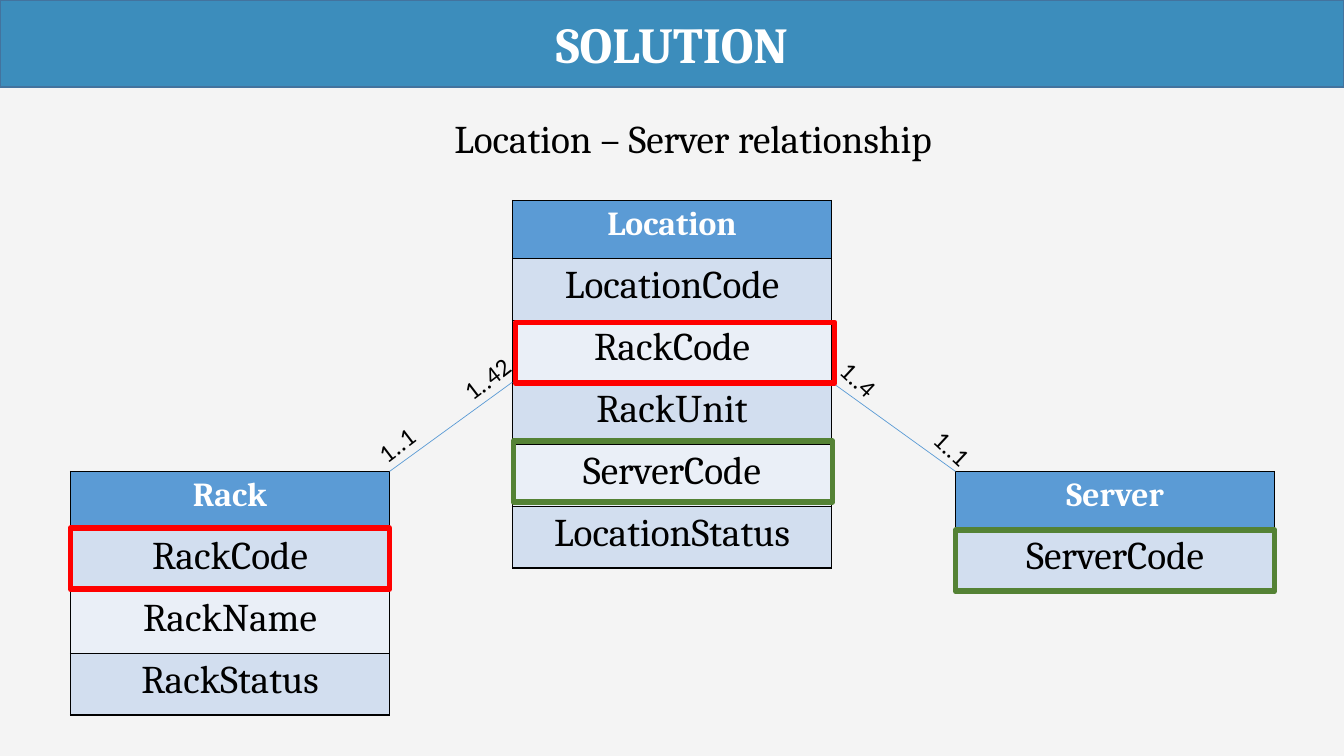
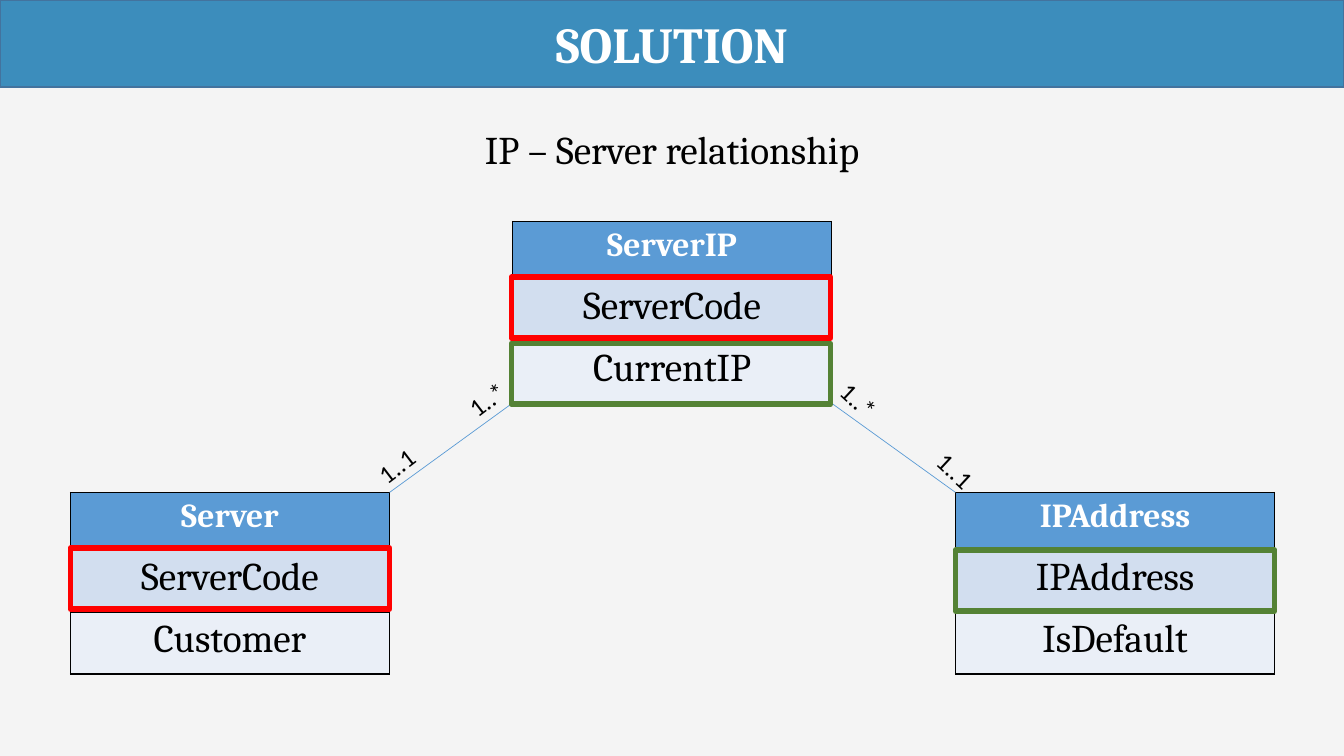
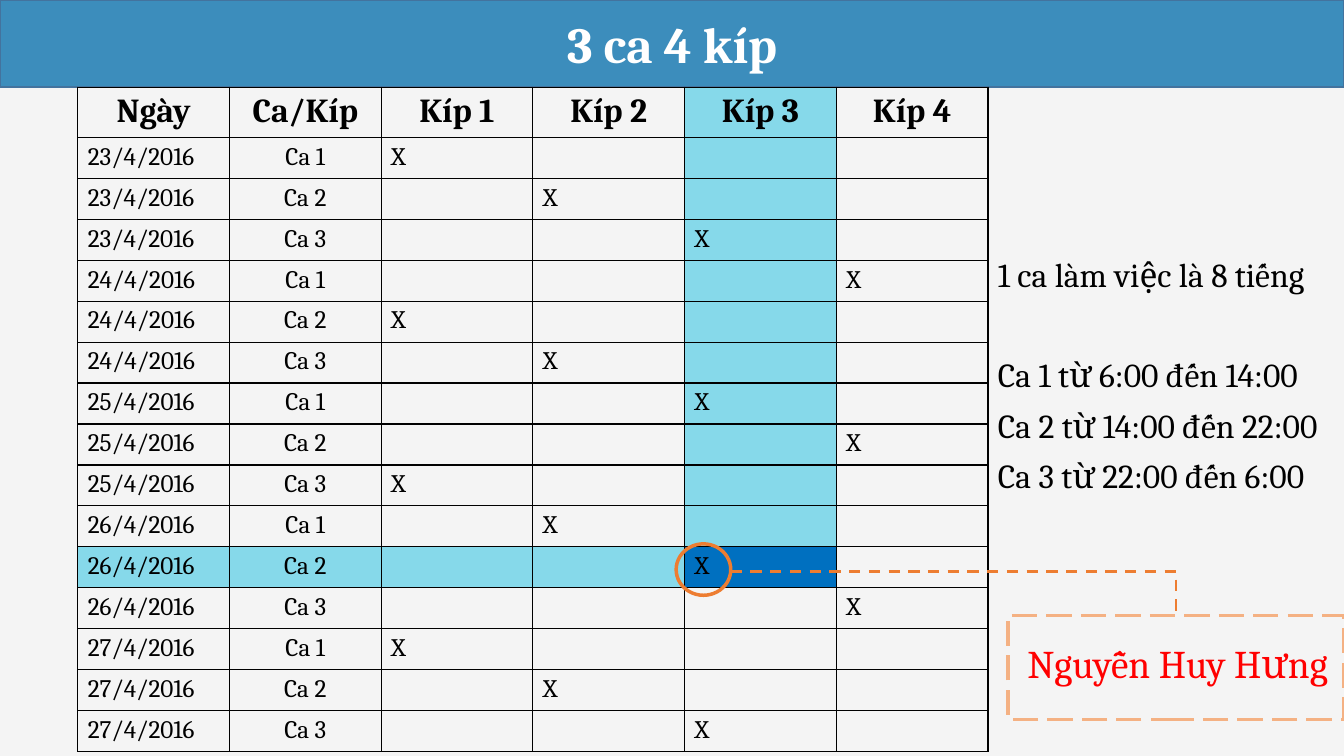
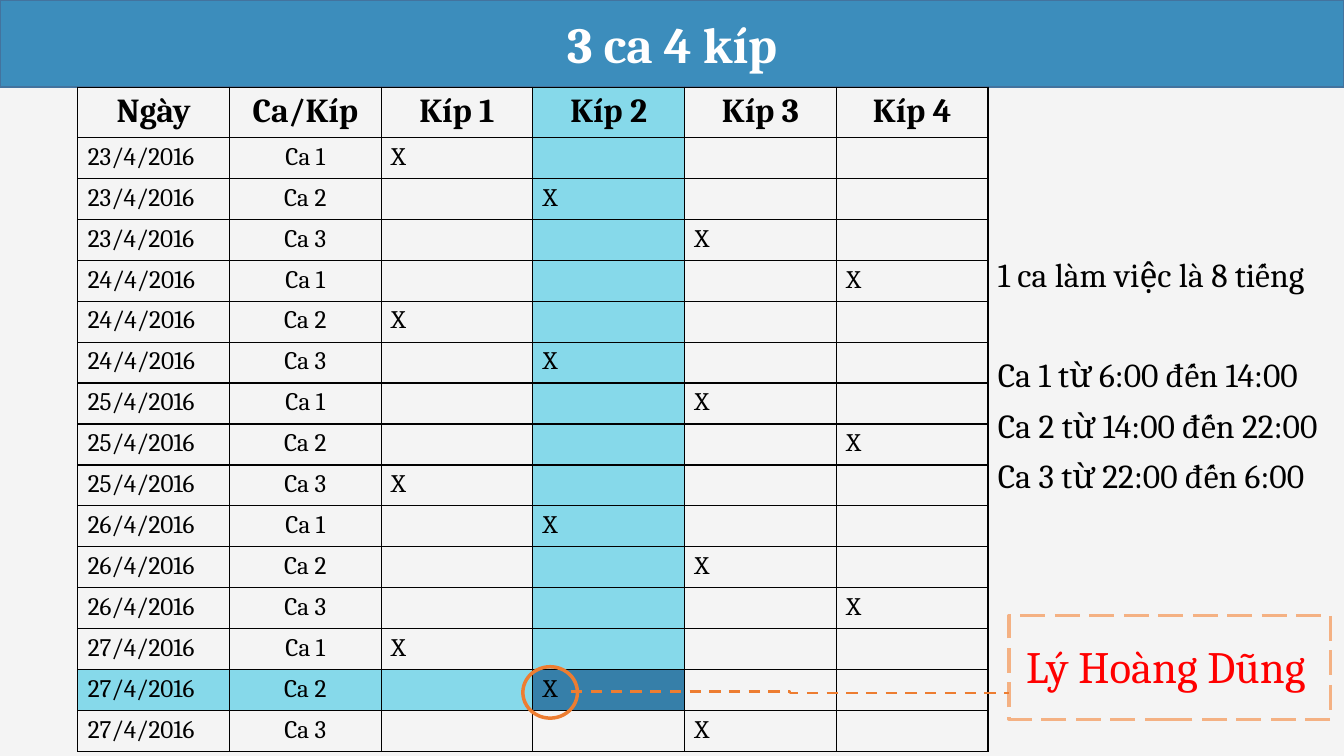
from lxml import etree
from pptx import Presentation
from pptx.dml.color import RGBColor
from pptx.enum.dml import MSO_LINE
from pptx.enum.shapes import MSO_CONNECTOR, MSO_SHAPE, MSO_SHAPE_TYPE
from pptx.enum.text import MSO_ANCHOR, PP_ALIGN
from pptx.oxml.ns import qn
from pptx.util import Pt

PX = 9525
LEFT, CENTER = PP_ALIGN.LEFT, PP_ALIGN.CENTER
RECTANGLE, OVAL = MSO_SHAPE.RECTANGLE, MSO_SHAPE.OVAL
STRAIGHT, ELBOW = MSO_CONNECTOR.STRAIGHT, MSO_CONNECTOR.ELBOW
DASH, LONG_DASH = MSO_LINE.DASH, MSO_LINE.LONG_DASH
AUTO_SHAPE, LINE = MSO_SHAPE_TYPE.AUTO_SHAPE, MSO_SHAPE_TYPE.LINE
HEADING_FONT, LABEL_FONT = "Cambria", "Calibri"
COLORS = {
    "page": "F4F4F4", "band": "3C8DBC", "band_edge": "43739E",
    "ink": "000000", "white": "FFFFFF", "header": "5B9BD5",
    "odd": "D2DEEF", "even": "EAEFF7", "red": "FF0000", "green": "548235",
    "shift": "86D9EA", "blue": "0070C0", "steel": "367FA9",
    "orange": "ED7D31", "peach": "F4B183",
}
RGB = {name: RGBColor.from_string(value) for name, value in COLORS.items()}


def write(paragraph, text, size, color="ink", bold=False, align=CENTER, font=HEADING_FONT):
    paragraph.alignment = align
    run = paragraph.add_run()
    run.text = text
    run.font.size = Pt(size)
    run.font.name = font
    run.font.bold = bold
    run.font.color.rgb = RGB[color]


def style_cell(cell, fill, edge="ink", top="ink"):
    properties = cell._tc.get_or_add_tcPr()
    for side, color in (("lnL", edge), ("lnR", edge), ("lnT", top), ("lnB", edge)):
        border = etree.SubElement(properties, qn("a:" + side), w=str(Pt(1)))
        solid = etree.SubElement(border, qn("a:solidFill"))
        etree.SubElement(solid, qn("a:srgbClr"), val=COLORS[color])
    if fill:
        cell.fill.solid()
        cell.fill.fore_color.rgb = RGB[fill]
    else:
        cell.fill.background()


prs = Presentation()
prs.slide_width, prs.slide_height = 1280 * PX, 720 * PX
prs.slide_master.background.fill.solid()
prs.slide_master.background.fill.fore_color.rgb = RGB["page"]

for title in ("SOLUTION", "SOLUTION", "3 ca 4 kíp", "3 ca 4 kíp"):
    slide = prs.slides.add_slide(prs.slide_layouts[6])
    band = slide.shapes.add_shape(RECTANGLE, 0, 0, 1280 * PX, 83 * PX)
    band.fill.solid()
    band.fill.fore_color.rgb = RGB["band"]
    band.line.color.rgb = RGB["band_edge"]
    band.line.width = Pt(1)
    band.text_frame.vertical_anchor = MSO_ANCHOR.MIDDLE
    write(band.text_frame.paragraphs[0], title, 36, "white", True)

ENTITY_WIDTH = 304
diagrams = [
    {
        "caption": ("Location – Server relationship", 303, 104),
        "drop": 0,
        "entities": [
            (67, 449, "ink", ["Rack", "RackCode", "RackName", "RackStatus"]),
            (488, 191, "ink", ["Location", "LocationCode", "RackCode", "RackUnit",
                               "ServerCode", "LocationStatus"]),
            (910, 449, "ink", ["Server", "ServerCode"]),
        ],
        "cardinalities": [("1..42", 430, 341, 68, 322.6), ("1..1", 350, 404, 56, 322.6),
                          ("1..4", 790, 342, 56, 43), ("1..1", 879, 408, 56, 43)],
        "keys": [(67, 503, "red"), (491, 307, "red"), (489, 420, "green"), (910, 505, "green")],
    },
    {
        "caption": ("IP – Server relationship", 283, 115),
        "drop": 20,
        "entities": [
            (67, 449, "ink", ["Server", "ServerCode", "Customer"]),
            (488, 191, "white", ["ServerIP", "ServerCode", "CurrentIP"]),
            (910, 449, "ink", ["IPAddress", "IPAddress", "IsDefault"]),
        ],
        "cardinalities": [("1..*", 436, 341, 56, 322.6), ("1..1", 350, 404, 56, 322.6),
                          ("1..*", 790, 342, 56, 43), ("1..1", 882, 409, 56, 43)],
        "keys": [(67, 502, "red"), (487, 244, "red"), (487, 307, "green"), (910, 504, "green")],
    },
]

for slide, diagram in zip(list(prs.slides)[:2], diagrams):
    drop = diagram["drop"]
    text, x, y = diagram["caption"]
    caption = slide.shapes.add_textbox(x * PX, y * PX, 714 * PX, 55 * PX)
    caption.text_frame.word_wrap = True
    write(caption.text_frame.paragraphs[0], text, 28)

    for x, y, body_edge, fields in diagram["entities"]:
        height = 55 + 59 * (len(fields) - 1)
        entity = slide.shapes.add_table(len(fields), 1, x * PX, (y + drop) * PX,
                                        ENTITY_WIDTH * PX, height * PX).table
        entity.first_row = entity.horz_banding = False
        for row, field in enumerate(fields):
            entity.rows[row].height = (59 if row else 55) * PX
            cell = entity.cell(row, 0)
            if row == 0:
                style_cell(cell, "header")
                write(cell.text_frame.paragraphs[0], field, 24, "white", True)
            else:
                style_cell(cell, "odd" if row % 2 else "even", body_edge,
                           "ink" if row == 1 else body_edge)
                write(cell.text_frame.paragraphs[0], field, 28)

    for x1, y1, x2, y2 in ((371, 449, 488, 364), (792, 364, 910, 449)):
        relation = slide.shapes.add_connector(STRAIGHT, x1 * PX, (y1 + drop) * PX,
                                              x2 * PX, (y2 + drop) * PX)
        relation.line.color.rgb = RGB["header"]
        relation.line.width = Pt(0.5)

    for text, x, y, width, angle in diagram["cardinalities"]:
        cardinality = slide.shapes.add_textbox(x * PX, (y + drop) * PX, width * PX, 39 * PX)
        cardinality.rotation = angle
        cardinality.text_frame.word_wrap = False
        write(cardinality.text_frame.paragraphs[0], text, 18, align=LEFT, font=LABEL_FONT)

    for x, y, color in diagram["keys"]:
        key = slide.shapes.add_shape(RECTANGLE, x * PX, (y + drop) * PX,
                                     ENTITY_WIDTH * PX, 58 * PX)
        key.fill.background()
        key.line.color.rgb = RGB[color]
        key.line.width = Pt(4)

HEADINGS = ["Ngày", "Ca/Kíp", "Kíp 1", "Kíp 2", "Kíp 3", "Kíp 4"]
SHIFT_NOTES = [("1 ca làm việc là 8 tiếng", 10), ("Ca 1 từ 6:00 đến 14:00", 46),
               ("Ca 2 từ 14:00 đến 22:00", 10), ("Ca 3 từ 22:00 đến 6:00", 10)]
roster = [HEADINGS]
for turn in range(15):
    marks = ["X" if crew == turn % 4 else "" for crew in range(4)]
    roster.append([f"{23 + turn // 3}/4/2016", f"Ca {turn % 3 + 1}"] + marks)

assignments = [
    {"row": 11, "column": 4, "hit": "blue", "person": ("Nguyễn Huy Hưng", 28, 921),
     "frame": (960, 320), "ring": (644, 518), "link": (696, 544, 1120, 586),
     "bend": "bentConnector2"},
    {"row": 14, "column": 3, "hit": "steel", "person": ("Lý Hoàng Dũng", 32, 910),
     "frame": (961, 306), "ring": (498, 635), "link": (544, 659, 961, 660),
     "bend": "bentConnector3"},
]

for slide, duty in zip(list(prs.slides)[2:], assignments):
    notes = slide.shapes.add_textbox(941 * PX, 241 * PX, 361 * PX, 260 * PX).text_frame
    notes.word_wrap = True
    for index, (text, gap) in enumerate(SHIFT_NOTES):
        paragraph = notes.add_paragraph() if index else notes.paragraphs[0]
        paragraph.line_spacing = 0.9
        paragraph.space_before = Pt(gap)
        write(paragraph, text, 24, align=LEFT)

    schedule = slide.shapes.add_table(len(roster), len(HEADINGS), 74 * PX, 83 * PX,
                                      867 * PX, 39 * len(roster) * PX).table
    schedule.first_row = schedule.horz_banding = False
    for row, values in enumerate(roster):
        schedule.rows[row].height = 39 * PX
        for column, value in enumerate(values):
            cell = schedule.cell(row, column)
            in_column = column == duty["column"] and row <= duty["row"]
            in_row = row == duty["row"] and column <= duty["column"]
            fill = duty["hit"] if in_column and in_row else "shift" if in_column or in_row else None
            style_cell(cell, fill)
            if value:
                write(cell.text_frame.paragraphs[0], value, 18 if row else 24, bold=row == 0,
                      align=CENTER if row == 0 or column == 1 else LEFT)

    name, size, x = duty["person"]
    person = slide.shapes.add_textbox(x * PX, 609 * PX, 401 * PX, 101 * PX)
    person.text_frame.word_wrap = True
    paragraph = person.text_frame.paragraphs[0]
    paragraph.line_spacing = 0.9
    paragraph.space_before = Pt(10)
    write(paragraph, name, size, "red")

    x, width = duty["frame"]
    frame = slide.shapes.add_shape(RECTANGLE, x * PX, 586 * PX, width * PX, 99 * PX)
    frame.fill.background()
    frame.line.color.rgb = RGB["peach"]
    frame.line.width = Pt(2.25)
    frame.line.dash_style = LONG_DASH

    link = slide.shapes.add_connector(ELBOW, *[length * PX for length in duty["link"]])
    link.element.spPr.find(qn("a:prstGeom")).set("prst", duty["bend"])
    link.line.color.rgb = RGB["orange"]
    link.line.width = Pt(2)
    link.line.dash_style = DASH

    x, y = duty["ring"]
    ring = slide.shapes.add_shape(OVAL, x * PX, y * PX, 52 * PX, 49 * PX)
    ring.fill.background()
    ring.line.color.rgb = RGB["orange"]
    ring.line.width = Pt(2.5)

for slide in prs.slides:
    for shape in slide.shapes:
        if shape.shape_type == AUTO_SHAPE:
            shape.shadow.inherit = False
        elif shape.shape_type == LINE:
            etree.SubElement(shape.element.spPr, qn("a:effectLst"))

prs.save("out.pptx")
